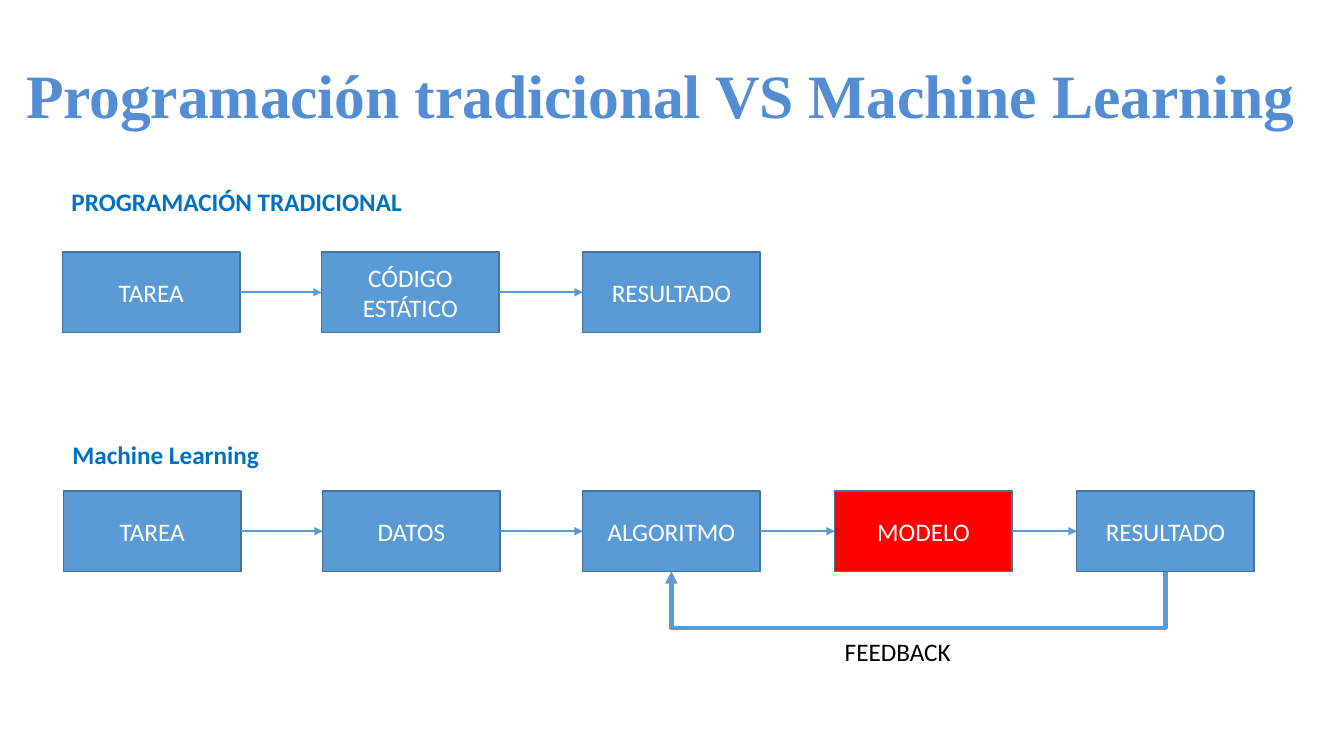
import pptx
import pptx.util
import pptx.dml.color
import pptx.enum.shapes
import pptx.enum.text
import pptx.oxml
import pptx.oxml.ns

WIDTH, HEIGHT = 13.33, 7.5
BOX_WIDTH, BOX_HEIGHT = 1.76, 0.8
BLUE, EDGE, RED, HEADING = "5B9BD5", "43739E", "FF0000", "0070C0"
WHITE, BLACK, TITLE_BLUE = "FFFFFF", "000000", "538DD3"

TITLE = "Programación tradicional VS Machine Learning"
# Each flow: heading, heading position and width, top of the boxes, steps (left, label, fill)
FLOWS = [
    ("PROGRAMACIÓN TRADICIONAL", (0.61, 1.8, 3.51), 2.5, [
        (0.62, "TAREA", BLUE), (3.19, "CÓDIGO ESTÁTICO", BLUE), (5.78, "RESULTADO", BLUE)]),
    ("Machine Learning", (0.62, 4.31, 2.07), 4.87, [
        (0.63, "TAREA", BLUE), (3.2, "DATOS", BLUE), (5.78, "ALGORITMO", BLUE),
        (8.28, "MODELO", RED), (10.68, "RESULTADO", BLUE)]),
]
FEEDBACK = "FEEDBACK"
FEEDBACK_DROP = 0.56

inches = pptx.util.Inches
connector_kind = pptx.enum.shapes.MSO_CONNECTOR
anchor = pptx.enum.text.MSO_ANCHOR


def color(value):
    return pptx.dml.color.RGBColor.from_string(value)


def write(shape, text, size, ink, font="Calibri", bold=False):
    para = shape.text_frame.paragraphs[0]
    span = para.add_run()
    span.text = text
    span.font.name = font
    span.font.size = pptx.util.Pt(size)
    span.font.bold = bold
    span.font.color.rgb = color(ink)
    return para, span


def add_label(page, text, left, top, width, ink, bold=False):
    label = page.shapes.add_textbox(*map(inches, (left, top, width, 0.4)))
    label.text_frame.word_wrap = False
    write(label, text, 18, ink, bold=bold)


def add_box(page, left, top, text, fill):
    box = page.shapes.add_shape(pptx.enum.shapes.MSO_SHAPE.RECTANGLE,
                                *map(inches, (left, top, BOX_WIDTH, BOX_HEIGHT)))
    box.shadow.inherit = False
    box.fill.solid()
    box.fill.fore_color.rgb = color(fill)
    box.line.color.rgb = color(EDGE)
    box.line.width = pptx.util.Pt(1)
    box.text_frame.word_wrap = True
    box.text_frame.vertical_anchor = anchor.MIDDLE
    para, _ = write(box, text, 18, WHITE)
    para.alignment = pptx.enum.text.PP_ALIGN.CENTER


def add_arrow(page, kind, start, end, weight):
    arrow = page.shapes.add_connector(kind, *map(inches, start + end))
    arrow.line.color.rgb = color(BLUE)
    arrow.line.width = pptx.util.Pt(weight)
    head = pptx.oxml.parse_xml(
        f'<a:tailEnd {pptx.oxml.ns.nsdecls("a")} type="triangle"/>')
    arrow.line._get_or_add_ln().append(head)
    effects = pptx.oxml.parse_xml(f'<a:effectLst {pptx.oxml.ns.nsdecls("a")}/>')
    arrow._element.spPr.append(effects)
    return arrow


def add_feedback_arrow(page, start_x, end_x, y):
    """Draw a U under the boxes: an upright elbow connector turned a quarter."""
    thickness = 0.01
    middle, half = (start_x + end_x) / 2, (start_x - end_x) / 2
    arrow = add_arrow(page, connector_kind.ELBOW,
                      (middle + thickness / 2, y - half),
                      (middle - thickness / 2, y + half), 3)
    properties = arrow._element.spPr
    properties.find(pptx.oxml.ns.qn("a:xfrm")).set("rot", str(90 * 60000))
    geometry = properties.find(pptx.oxml.ns.qn("a:prstGeom"))
    bend = round(-FEEDBACK_DROP / thickness * 100000)
    guide = pptx.oxml.parse_xml(
        f'<a:gd {pptx.oxml.ns.nsdecls("a")} name="adj1" fmla="val {bend}"/>')
    geometry.find(pptx.oxml.ns.qn("a:avLst")).append(guide)


def add_flow(page, heading, place, top, steps):
    for left, text, fill in steps:
        add_box(page, left, top, text, fill)
    middle = top + BOX_HEIGHT / 2
    for (left, *_), (following, *_) in zip(steps, steps[1:]):
        add_arrow(page, connector_kind.STRAIGHT,
                  (left + BOX_WIDTH, middle), (following, middle), 1.5)
    add_label(page, heading, *place, HEADING, bold=True)


def main():
    deck = pptx.Presentation()
    deck.slide_width, deck.slide_height = inches(WIDTH), inches(HEIGHT)
    page = deck.slides.add_slide(deck.slide_layouts[6])

    title = page.shapes.add_textbox(*map(inches, (0.16, 0.25, 12.82, 1.45)))
    title.text_frame.word_wrap = True
    title.text_frame.vertical_anchor = anchor.MIDDLE
    para, span = write(title, TITLE, 44, TITLE_BLUE, "Times New Roman", True)
    para.line_spacing = 0.9
    span.font._element.set("spc", "-10")

    for flow in FLOWS:
        add_flow(page, *flow)

    _, _, top, steps = FLOWS[-1]
    centers = {text: left + BOX_WIDTH / 2 for left, text, _ in steps}
    add_feedback_arrow(page, centers["RESULTADO"], centers["ALGORITMO"], top + BOX_HEIGHT)
    add_label(page, FEEDBACK, 8.28, 6.26, 1.26, BLACK)

    deck.save("out.pptx")


if __name__ == "__main__":
    main()
